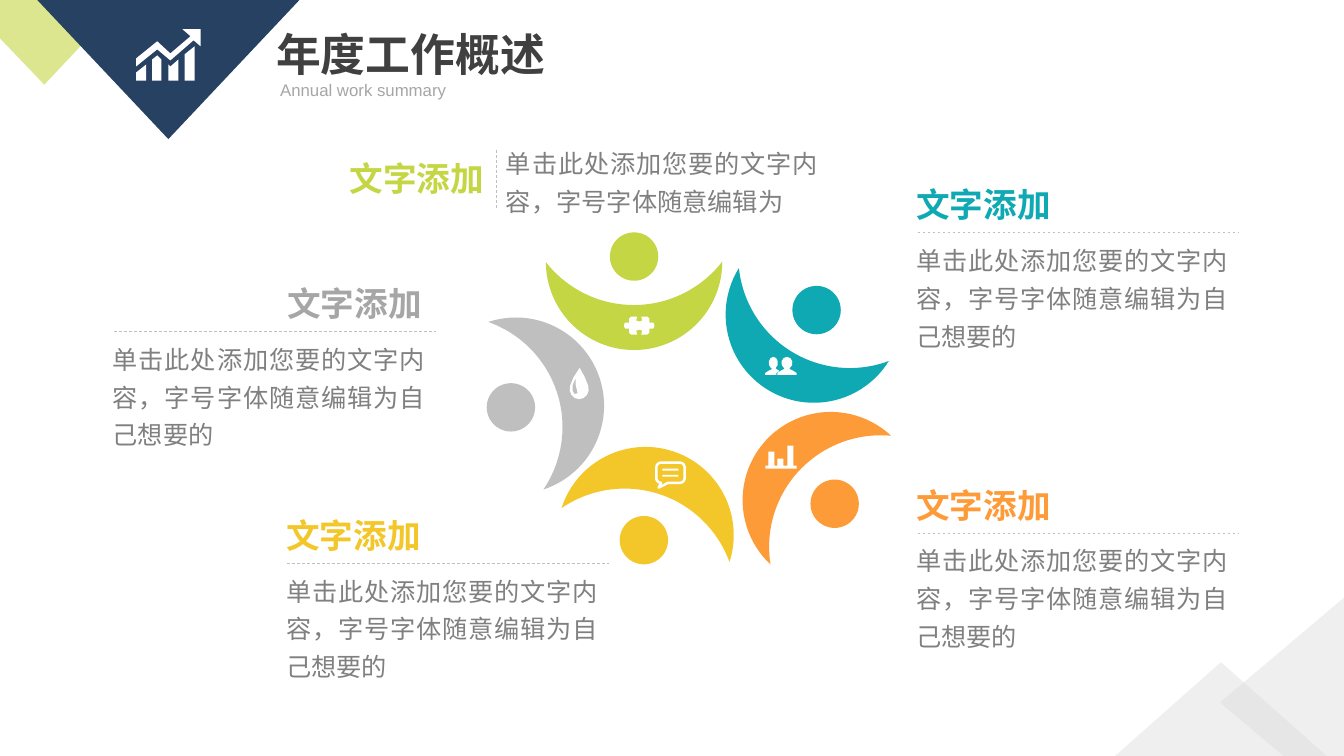
from math import cos, sin, radians
from lxml.etree import SubElement
from pptx import Presentation
from pptx.dml.color import RGBColor
from pptx.enum.dml import MSO_LINE
from pptx.enum.shapes import MSO_CONNECTOR, MSO_SHAPE
from pptx.enum.text import MSO_AUTO_SIZE, PP_ALIGN
from pptx.oxml.ns import qn
from pptx.util import Inches, Pt

W, H = 13.33, 7.5
CJK = "Noto Sans CJK SC"
NAVY, LIME, TEAL, ORANGE, YELLOW, SILVER = (
    "274162", "C4D644", "0EA9B2", "FE9B39", "F3C72A", "BFBFBF")
WHITE, PALE, GREY, DARK = "FFFFFF", "D9D9D9", "808080", "404040"
HEADING = "文字添加"
SHORT = "单击此处添加您要的文字内容，字号字体随意编辑为"
BODY = SHORT + "自己想要的"


def rgb(value):
    return RGBColor.from_string(value)


def paint(sp, colour, alpha=100):
    sp.shadow.inherit = False
    sp.fill.solid()
    sp.fill.fore_color.rgb = rgb(colour)
    sp.line.fill.background()
    if alpha < 100:
        clr = sp.fill._xPr.find(qn("a:solidFill"))[0]
        SubElement(clr, qn("a:alpha")).set("val", str(alpha * 1000))
    return sp


def preset(s, kind, x, y, w, h, colour, alpha=100):
    sp = s.shapes.add_shape(kind, Inches(x), Inches(y), Inches(w), Inches(h))
    return paint(sp, colour, alpha)


def outline(s, contours, colour, alpha=100, x=0, y=0):
    """Fill closed contours whose points are relative to (x, y)."""
    contours = [[(Inches(x + px), Inches(y + py)) for px, py in c] for c in contours]
    fb = s.shapes.build_freeform(*contours[0][0])
    fb.add_line_segments(contours[0][1:], close=True)
    for c in contours[1:]:
        fb.move_to(*c[0])
        fb.add_line_segments(c[1:], close=True)
    return paint(fb.convert_to_shape(), colour, alpha)


def arc(cx, cy, rx, ry, start, end, steps=8):
    angles = [radians(start + (end - start) * i / steps) for i in range(steps + 1)]
    return [(cx + rx * cos(a), cy + ry * sin(a)) for a in angles]


def text(s, x, y, w, h, words, size, colour, font=CJK, bold=False,
         wrap=True, align=PP_ALIGN.LEFT, spacing=None):
    tf = s.shapes.add_textbox(Inches(x), Inches(y), Inches(w), Inches(h)).text_frame
    tf.word_wrap = wrap
    tf.auto_size = MSO_AUTO_SIZE.SHAPE_TO_FIT_TEXT
    p = tf.paragraphs[0]
    p.alignment = align
    if spacing:
        p.line_spacing = spacing
    r = p.add_run()
    r.text = words
    r.font.size, r.font.bold, r.font.name = Pt(size), bold, font
    r.font.color.rgb = rgb(colour)
    SubElement(r.font._element, qn("a:ea")).set("typeface", font)


def dashed(s, x1, y1, x2, y2):
    ln = s.shapes.add_connector(MSO_CONNECTOR.STRAIGHT, Inches(x1), Inches(y1),
                                Inches(x2), Inches(y2))
    ln.line.color.rgb = rgb(SILVER)
    ln.line.width = Pt(0.5)
    ln.line.dash_style = MSO_LINE.DASH
    SubElement(ln._element.spPr, qn("a:effectLst"))


def corner(s):
    """Pale peaks at the bottom right."""
    preset(s, MSO_SHAPE.ISOSCELES_TRIANGLE, 11.06, 6.57, 2.1, H - 6.57, PALE, 40)
    outline(s, [[(W, 5.93), (W, H), (12.73, H), (12.1, 6.97)]], PALE, 40)


def header(s):
    # Triangles
    outline(s, [[(0, 0), (1.23, 0), (0.44, 0.84), (0, 0.38)]], LIME, 60)
    outline(s, [[(0.37, 0), (2.97, 0), (1.67, 1.38)]], NAVY)
    # Growth icon: columns, then arrow
    base = 0.8
    tops = [[(1.35, 0.72), (1.45, 0.64)], [(1.51, 0.59), (1.56, 0.55), (1.6, 0.59)],
            [(1.67, 0.64), (1.69, 0.66), (1.77, 0.59)], [(1.83, 0.54), (1.93, 0.46)]]
    outline(s, [[(t[0][0], base), *t, (t[-1][0], base)] for t in tops], WHITE)
    outline(s, [[(1.99, 0.29), (1.81, 0.29), (1.89, 0.36), (1.69, 0.53), (1.56, 0.41),
                 (1.35, 0.58), (1.35, 0.66), (1.56, 0.49), (1.69, 0.6), (1.92, 0.4),
                 (1.99, 0.46)]], WHITE)
    # Titles
    text(s, 2.64, 0.22, 5.33, 0.64, "年度工作概述", 32, DARK, bold=True)
    text(s, 2.68, 0.74, 2.79, 0.3, "Annual work summary", 12, "A6A6A6", "Arial",
         align=PP_ALIGN.JUSTIFY)


def heading(s, x, y, colour):
    text(s, x, y, 1.55, 0.5, HEADING, 24, colour, bold=True, wrap=False)


def body(s, x, y, h, words):
    text(s, x, y, 3.29, h, words, 18, GREY, align=PP_ALIGN.JUSTIFY, spacing=1.25)


def text_block(s, x, y, colour, indent=0):
    """Heading over a dashed rule over the body."""
    heading(s, x + indent, y, colour)
    body(s, x, y + 0.53, 1.24, BODY)
    dashed(s, x + 0.11, y + 0.53, x + 3.3, y + 0.53)


def top_block(s, x, y):
    """Heading beside a dashed rule beside the body."""
    heading(s, x, y + 0.17, LIME)
    body(s, x + 1.55, y, 0.86, SHORT)
    dashed(s, x + 1.55, y + 0.14, x + 1.55, y + 0.72)


def figure(s, x, y, turn, colour):
    """Head and crescent body, turned about the centre of a 1.16 by 1.75 box."""
    dx, dy = cos(radians(turn)), sin(radians(turn))
    cx, cy = x + 0.58, y + 0.875
    for kind, shift, w, h in ((MSO_SHAPE.OVAL, -0.34, 0.48, 0.48),
                              (MSO_SHAPE.MOON, 0.15, 0.875, 1.75)):
        sp = preset(s, kind, cx + shift * dx - w / 2, cy + shift * dy - h / 2, w, h, colour)
        if kind == MSO_SHAPE.MOON:
            sp.adjustments[0] = 0.51
            sp.rotation = (turn + 180) % 360


def drop_icon(s, x, y):
    shell = [(0.1, 0), (0.15, 0.09), *arc(0.095, 0.21, 0.095, 0.1, -20, 200), (0.04, 0.09)]
    shine = [(0.06, 0.1), (0.03, 0.17), (0.03, 0.23), (0.05, 0.26), (0.08, 0.25),
             (0.06, 0.17)]
    outline(s, [shell, shine], WHITE, x=x, y=y)


def puzzle_icon(s, cx, cy):
    quarter = [(0, -0.04), (0.03, -0.05), (0.02, -0.09), (0.08, -0.09),
               (0.1, -0.07), (0.1, -0.03), (0.14, -0.03), (0.15, -0.01)]
    right = quarter + [(px, -py) for px, py in reversed(quarter)]
    left = [(-px, py) for px, py in reversed(right)]
    outline(s, [right + left], WHITE, x=cx, y=cy)


def speech_icon(s, x, y):
    sp = preset(s, MSO_SHAPE.ROUNDED_RECTANGULAR_CALLOUT, x + 0.01, y + 0.01,
                0.28, 0.2, WHITE)
    sp.adjustments[0], sp.adjustments[1], sp.adjustments[2] = -0.42, 0.74, 0.22
    sp.fill.background()
    sp.line.color.rgb = rgb(WHITE)
    sp.line.width = Pt(1.75)
    for row in (0.07, 0.13):
        preset(s, MSO_SHAPE.RECTANGLE, x + 0.07, y + row, 0.16, 0.02, WHITE)


def people_icon(s, x, y):
    shoulder = [(0, 0.18), (0, 0.16), (0.03, 0.14), (0.07, 0.12)]
    back = shoulder + arc(0.08, 0.06, 0.045, 0.06, 120, 420) + [
        (0.11, 0.12), (0.14, 0.14), (0.11, 0.16), (0.11, 0.18)]
    front = shoulder + arc(0.095, 0.06, 0.055, 0.06, 120, 420) + [
        (0.19 - px, py) for px, py in reversed(shoulder)]
    outline(s, [back], WHITE, x=x, y=y)
    outline(s, [front], WHITE, x=x + 0.12, y=y)


def bars_icon(s, x, y):
    contour = [(0, 0.23), (0, 0.2)]
    for left, top in ((0.03, 0.06), (0.12, 0.13), (0.22, 0)):
        contour += [(left, 0.2), (left, top), (left + 0.06, top), (left + 0.06, 0.2)]
    outline(s, [contour + [(0.31, 0.2), (0.31, 0.23)]], WHITE, x=x, y=y)


def ring(s):
    """Five figures around the centre, with their icons."""
    for x, y, turn, colour in [(7.45, 3.89, 223.1, ORANGE), (4.81, 3.06, 341.8, SILVER),
                               (7.34, 2.49, 121.8, TEAL), (5.71, 2.01, 89.8, LIME),
                               (5.91, 4.16, 287.8, YELLOW)]:
        figure(s, x, y, turn, colour)
    drop_icon(s, 5.65, 3.65)
    puzzle_icon(s, 6.34, 3.23)
    speech_icon(s, 6.5, 4.58)
    people_icon(s, 7.59, 3.54)
    bars_icon(s, 7.59, 4.42)


def main():
    prs = Presentation()
    prs.slide_width, prs.slide_height = Inches(W), Inches(H)
    s = prs.slides.add_slide(prs.slide_layouts[6])
    corner(s)
    header(s)
    text_block(s, 8.99, 1.78, TEAL)
    text_block(s, 1.02, 2.76, "A6A6A6", indent=1.73)
    text_block(s, 2.74, 5.06, YELLOW)
    text_block(s, 8.99, 4.76, ORANGE)
    top_block(s, 3.37, 1.35)
    ring(s)
    prs.save("out.pptx")


if __name__ == "__main__":
    main()
